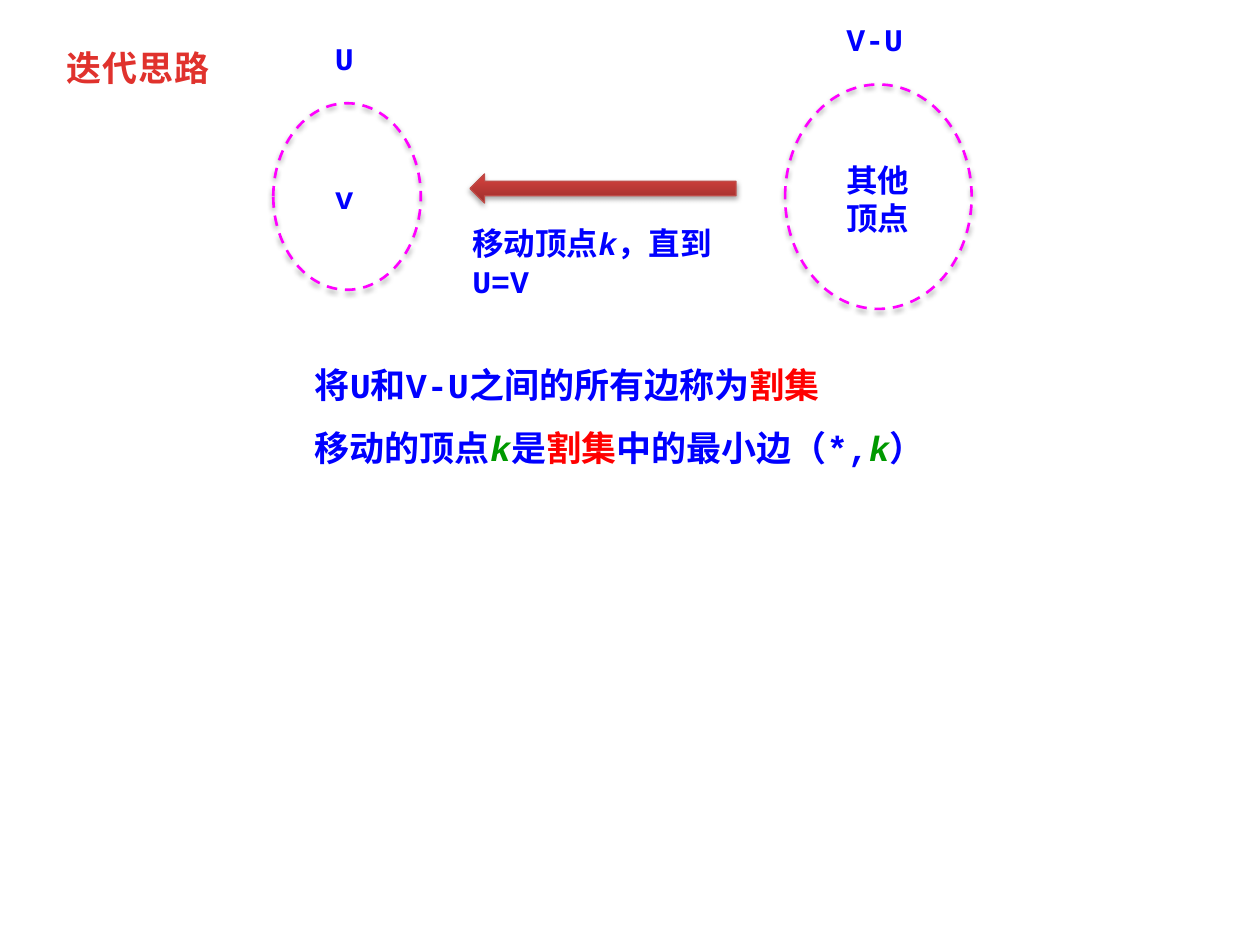
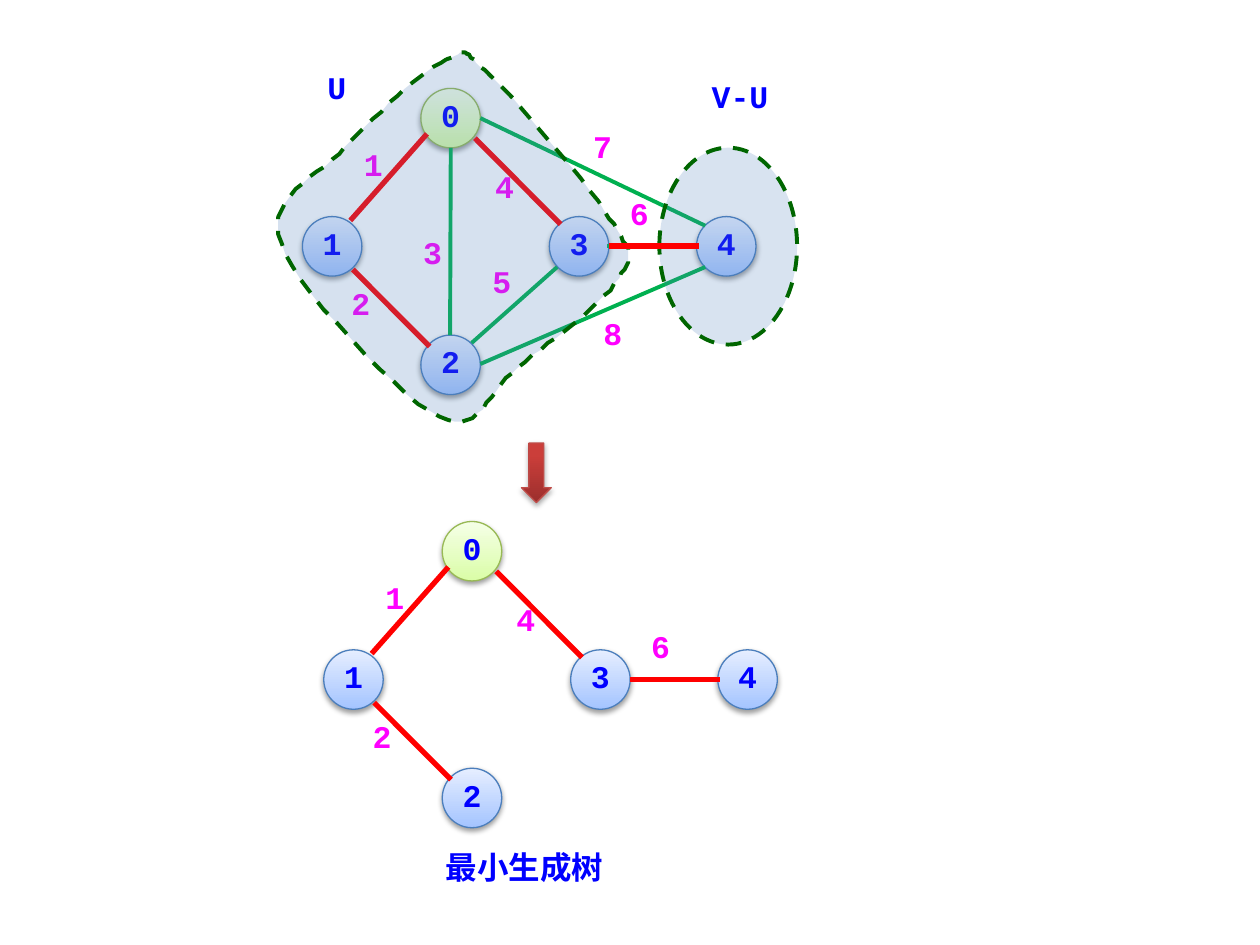
from lxml import etree
from pptx import Presentation
from pptx import util as u
from pptx.dml.color import RGBColor
from pptx.enum import dml, shapes, text
from pptx.oxml import ns

Pt = u.Pt
LATIN, CJK = "Courier New", "Noto Sans CJK SC"
BLUE, MAGENTA, RED, GREEN = "0000FF", "FF00FF", "FF0000", "00B050"
KEY_GREEN, BORDER_GREEN, REGION_BLUE = "009900", "006600", "4F81BD"
TITLE_RED, ARROW_LINE = "E0322D", "BF4C48"
ARROW_STOPS = ((0, "9C2F2D"), (0.8, "CB3E3A"))
START_STYLE = (((0, "DAFDA7"), (1, "F5FFE7")), "98B955")
NODE_STYLE = (((0, "A4C4FF"), (1, "E6EEFF")), "4B7EBC")
NODE_SIZE = 34
LABEL_LEADING = 0.8

# Top left corners of the nodes, and the weighted edges of the spanning tree
NODES = {"0": (240.5, 50.5), "1": (172.8, 123.8), "2": (240.5, 191.5),
         "4": (398, 123.8), "3": (313.9, 123.8)}
TREE_EDGES = [((244, 76.5), (200.2, 126)), ((201.6, 154), (245.5, 198)),
              ((271.4, 79), (320.4, 128.2))]
BRIDGE = ((348, 140.6), (399.5, 140.6))
OTHER_EDGES = [((257.6, 84.5), (257.2, 191.5)), ((318.4, 152.6), (269.5, 196)),
               ((347, 140.6), (398, 140.6)), ((274.5, 67.5), (403, 129)),
               ((274.5, 208), (403, 152.6))]
TREE_WEIGHTS = {"1": (200.9, 83.5), "2": (193.7, 162.7),
                "4": (275.8, 95.8), "6": (352.8, 111.6)}
OTHER_WEIGHTS = {"3": (234.7, 133.9), "5": (274.3, 150.5),
                 "8": (337.7, 180), "7": (331.9, 73.4)}
TREE_SHIFT = (12.2, 247.5)

REGION_START = (254.9, 33.8)
REGION_CURVES = [
    ((241.2, 41), (213.1, 67), (197.3, 84.2)),
    ((181.4, 101.5), (151.2, 113), (160.6, 139)),
    ((169.2, 164.9), (228.2, 226.8), (251.3, 238.3)),
    ((273.6, 250.6), (279.4, 223.2), (295.9, 209.5)),
    ((313.2, 196.6), (344.9, 173.5), (353.5, 159.1)),
    ((362.9, 145.4), (360.7, 144), (348.5, 124.6)),
    ((336.2, 105.1), (295.2, 57.6), (280.1, 43.2)),
    ((264.2, 28.8), (268.6, 27.4), (254.9, 33.8))]


def rgb(value):
    return RGBColor.from_string(value)


def shifted(point, shift):
    return point[0] + shift[0], point[1] + shift[1]


def sub(parent, tag, **attributes):
    return etree.SubElement(parent, ns.qn(tag), attributes)


def write(frame, paragraphs, size=18, color=BLUE, latin=LATIN, spacing=None,
          align=text.PP_ALIGN.LEFT, tracking=None):
    """Fill a frame; each paragraph is a list of (text, format changes)."""
    for index, runs in enumerate(paragraphs):
        para = frame.paragraphs[0] if index == 0 else frame.add_paragraph()
        para.alignment = align
        para.space_before = Pt(0)
        if spacing:
            para.line_spacing = spacing
        for words, changes in runs:
            span = para.add_run()
            span.text = words
            look = {"name": latin, "size": Pt(size), "bold": True,
                    "italic": False, "color": color} | changes
            span.font.color.rgb = rgb(look.pop("color"))
            for key, value in look.items():
                setattr(span.font, key, value)
            properties = span.font._element
            sub(properties, "a:ea", typeface=CJK)
            if tracking:
                properties.set("spc", str(tracking))


def fit_frame(frame, top_margin):
    settings = {"word_wrap": True, "auto_size": text.MSO_AUTO_SIZE.NONE,
                "vertical_anchor": text.MSO_ANCHOR.TOP,
                "margin_left": Pt(7.2), "margin_right": Pt(7.2),
                "margin_top": Pt(top_margin), "margin_bottom": Pt(3.6)}
    for key, value in settings.items():
        setattr(frame, key, value)


def add_text(page, left, top, width, height, paragraphs, top_margin=3.6, **look):
    box = page.shapes.add_textbox(Pt(left), Pt(top), Pt(width), Pt(height))
    fit_frame(box.text_frame, top_margin)
    write(box.text_frame, paragraphs, **look)


def add_label(page, words, left, top, width=34, **look):
    add_text(page, left, top, width, 25, [[(words, {})]], **look)


def add_title(page, words):
    box = page.shapes.title
    box.left, box.top, box.width, box.height = Pt(31), Pt(20.9), Pt(101.5), Pt(32)
    fit_frame(box.text_frame, 5.5)
    write(box.text_frame, [[(words, {})]], size=20, color=TITLE_RED, latin=CJK,
          spacing=Pt(24), tracking=50)


def outline(shape, color, width, dashed=False):
    shape.line.color.rgb = rgb(color)
    shape.line.width = Pt(width)
    if dashed:
        shape.line.dash_style = dml.MSO_LINE.DASH


def add_shape(page, kind, left, top, width, height):
    shape = page.shapes.add_shape(kind, Pt(left), Pt(top), Pt(width), Pt(height))
    shape.shadow.inherit = False
    return shape


def cast_shadow(shape, opacity=38):
    effects = shape._element.spPr.find(ns.qn("a:effectLst"))
    shadow = sub(effects, "a:outerShdw", blurRad=str(Pt(3.1)), dist=str(Pt(1.6)),
                 dir="5400000", rotWithShape="0")
    color = sub(shadow, "a:srgbClr", val="000000")
    sub(color, "a:alpha", val=str(opacity * 1000))


def shade_upward(shape, stops):
    shape.fill.gradient()
    shape.fill.gradient_angle = 90
    for stop, (position, color) in zip(shape.fill.gradient_stops, stops):
        stop.position = position
        stop.color.rgb = rgb(color)


def add_block_arrow(page, kind, *place):
    arrow = add_shape(page, kind, *place)
    shade_upward(arrow, ARROW_STOPS)
    outline(arrow, ARROW_LINE, 0.75)
    cast_shadow(arrow, 35)


def add_vertex_set(page, *place):
    oval = add_shape(page, shapes.MSO_SHAPE.OVAL, *place)
    oval.fill.background()
    outline(oval, MAGENTA, 1.5, dashed=True)
    cast_shadow(oval)


def add_node(page, name, left, top):
    node = add_shape(page, shapes.MSO_SHAPE.OVAL, left, top, NODE_SIZE, NODE_SIZE)
    stops, border = START_STYLE if name == "0" else NODE_STYLE
    shade_upward(node, stops)
    outline(node, border, 0.75)
    cast_shadow(node)
    frame = node.text_frame
    for side in ("left", "right", "top", "bottom"):
        setattr(frame, f"margin_{side}", 0)
    frame.vertical_anchor = text.MSO_ANCHOR.MIDDLE
    write(frame, [[(name, {})]], spacing=LABEL_LEADING, align=text.PP_ALIGN.CENTER)


def add_edge(page, start, end, color=RED, width=3):
    edge = page.shapes.add_connector(shapes.MSO_CONNECTOR.STRAIGHT,
                                     *(Pt(value) for value in (*start, *end)))
    outline(edge, color, width)
    sub(edge._element.spPr, "a:effectLst")


def add_nodes(page, shift=(0, 0)):
    for name, corner in NODES.items():
        add_node(page, name, *shifted(corner, shift))


def add_weights(page, weights, shift=(0, 0)):
    for weight, corner in weights.items():
        add_label(page, weight, *shifted(corner, shift), color=MAGENTA,
                  spacing=LABEL_LEADING)


def add_tree_edges(page, shift=(0, 0)):
    for start, end in TREE_EDGES:
        add_edge(page, shifted(start, shift), shifted(end, shift))


def make_translucent(shape, opacity):
    shape.fill.solid()
    shape.fill.fore_color.rgb = rgb(REGION_BLUE)
    color = shape._element.spPr.find(".//" + ns.qn("a:srgbClr"))
    sub(color, "a:alpha", val=str(opacity * 1000))
    outline(shape, BORDER_GREEN, 2.25, dashed=True)


def curve_points(start, curves, steps=14):
    """Points along a chain of cubic Bezier curves."""
    points = []
    for first, second, end in curves:
        for step in range(1, steps + 1):
            t = step / steps
            s = 1 - t
            points.append(tuple(
                s**3 * a + 3 * s * s * t * b + 3 * s * t * t * c + t**3 * d
                for a, b, c, d in zip(start, first, second, end)))
        start = end
    return points


def add_selected_region(page):
    builder = page.shapes.build_freeform(*REGION_START, scale=Pt(1))
    builder.add_line_segments(curve_points(REGION_START, REGION_CURVES), close=True)
    region = builder.convert_to_shape()
    region.shadow.inherit = False
    make_translucent(region, 23)


def build_idea(page):
    add_title(page, "迭代思路")
    add_vertex_set(page, 156.2, 59, 84.3, 106.6)
    add_label(page, "v", 184.3, 98)
    add_label(page, "U", 184.3, 18.7)
    add_vertex_set(page, 448.6, 48.3, 106.6, 128.2)
    add_text(page, 476.6, 86.4, 62, 51, [[("其他顶点", {})]],
             top_margin=5.5, spacing=Pt(21.7))
    add_label(page, "V-U", 476.6, 8, 56)
    add_block_arrow(page, shapes.MSO_SHAPE.LEFT_ARROW, 268.6, 99.4, 152, 16.6)
    key = ("k", {"italic": True})
    add_text(page, 262.8, 122.4, 168.5, 51,
             [[("移动顶点", {}), key, ("，直到U=V", {})]],
             top_margin=5.5, spacing=Pt(21.7))
    cut = ("割集", {"color": RED})
    green_key = ("k", {"italic": True, "color": KEY_GREEN})
    add_text(page, 172.8, 190, 399, 75.6,
             [[("将U和V-U之间的所有边称为", {}), cut],
              [("移动的顶点", {}), green_key, ("是", {}), cut,
               ("中的最小边（*,", {}), green_key, ("）", {})]],
             top_margin=5.5, size=20, spacing=Pt(36))


def build_example(page):
    add_nodes(page)
    for start, end in OTHER_EDGES:
        add_edge(page, start, end, GREEN, 2.25)
    add_weights(page, TREE_WEIGHTS | OTHER_WEIGHTS)
    add_tree_edges(page)
    add_label(page, "U", 180, 39.6, spacing=LABEL_LEADING)
    add_label(page, "V-U", 399.6, 44.7, 50.4, spacing=LABEL_LEADING)
    add_selected_region(page)
    rest = add_shape(page, shapes.MSO_SHAPE.OVAL, 376.8, 84.4, 78.7, 112.5)
    make_translucent(rest, 22)
    add_edge(page, *BRIDGE)

    add_block_arrow(page, shapes.MSO_SHAPE.DOWN_ARROW, 298, 253.2, 17, 34)
    add_nodes(page, TREE_SHIFT)
    add_edge(page, *(shifted(point, TREE_SHIFT) for point in BRIDGE))
    add_weights(page, TREE_WEIGHTS, TREE_SHIFT)
    add_tree_edges(page, TREE_SHIFT)
    add_label(page, "最小生成树", 247.7, 483.8, 140.4, latin=CJK,
              top_margin=5.5, spacing=Pt(17))


def main():
    deck = Presentation()
    deck.slide_width, deck.slide_height = Pt(720), Pt(540)
    title_only, blank = deck.slide_layouts[5], deck.slide_layouts[6]
    build_idea(deck.slides.add_slide(title_only))
    build_example(deck.slides.add_slide(blank))
    deck.save("out.pptx")


if __name__ == "__main__":
    main()
